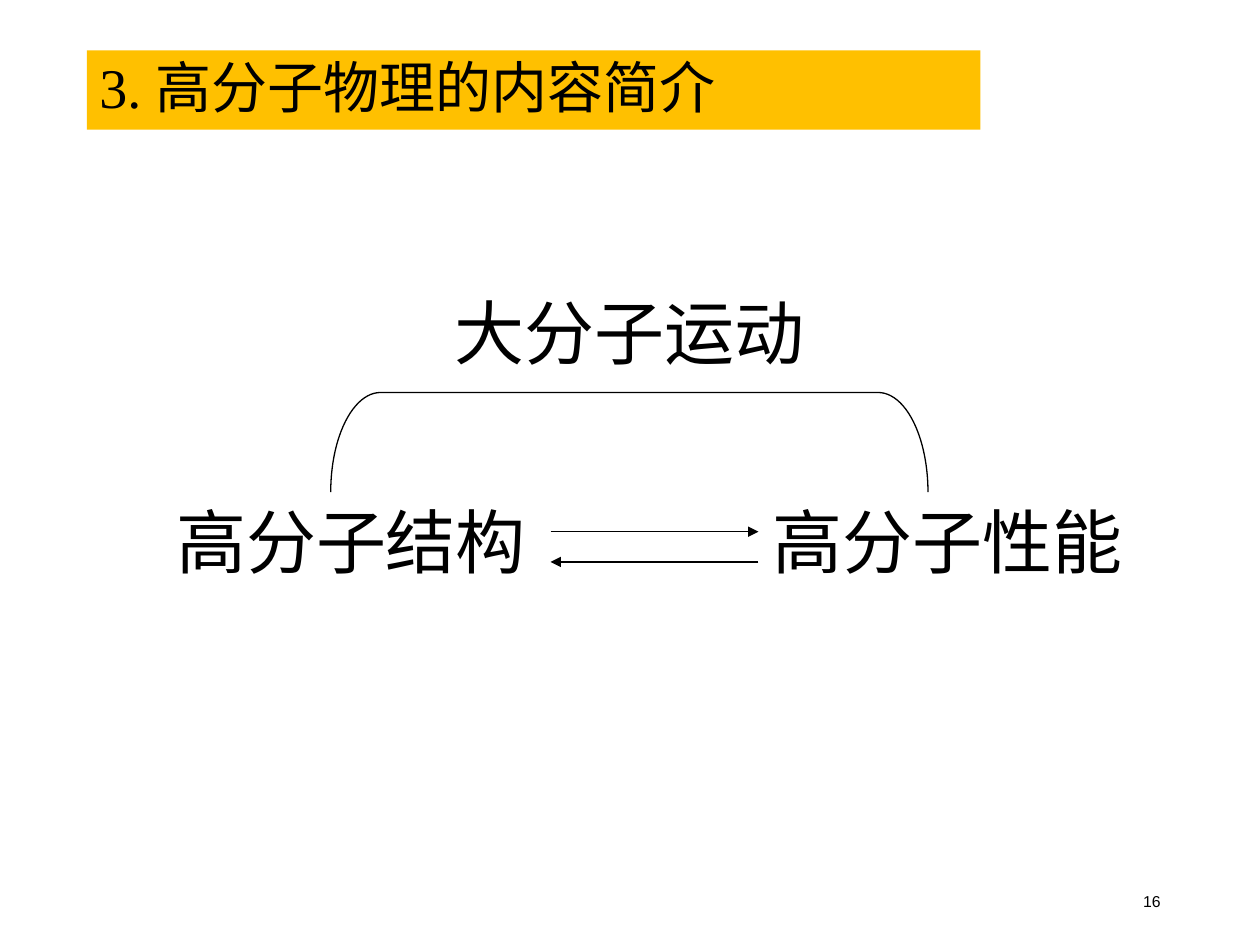
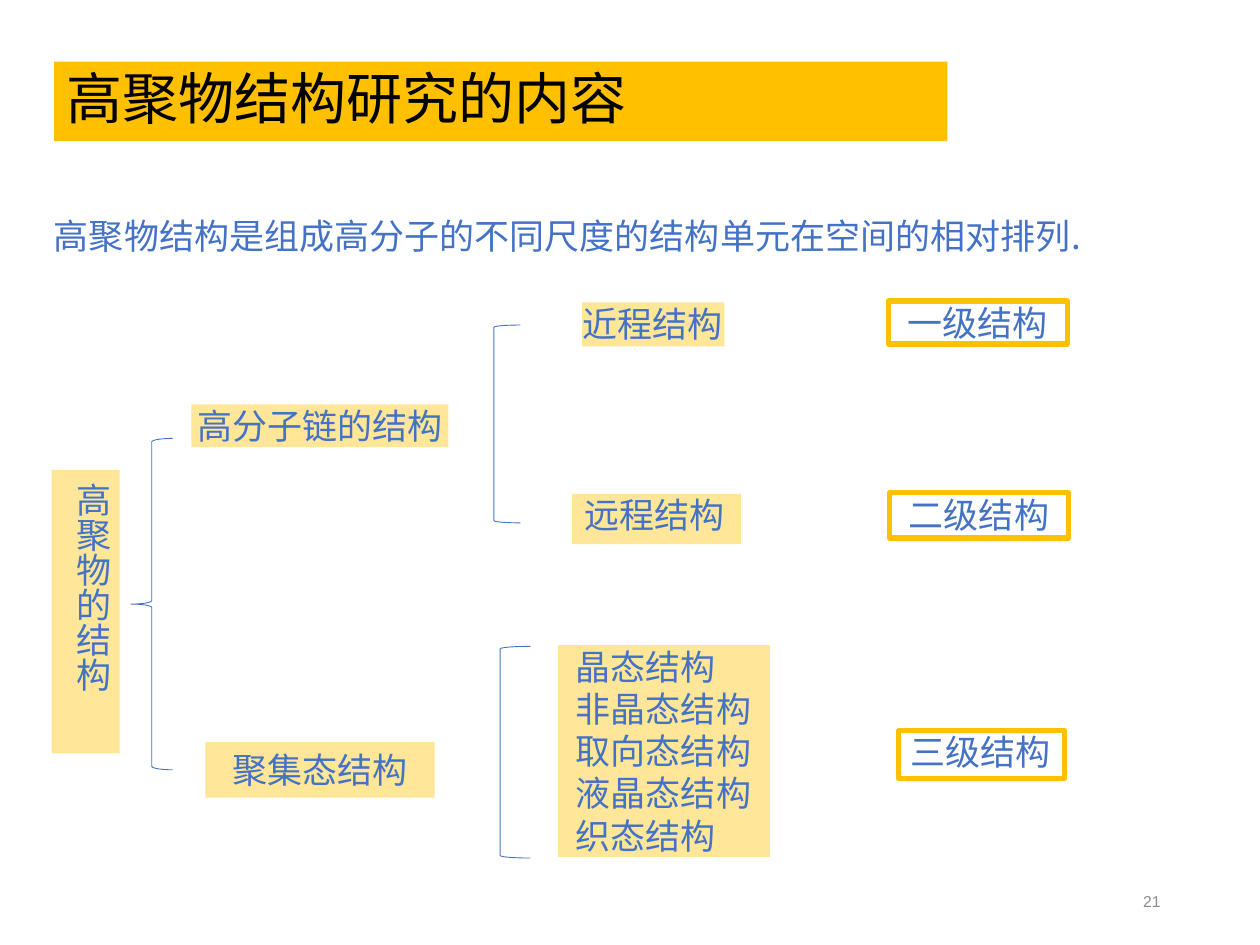
from lxml import etree
from pptx import Presentation
from pptx import util as u
from pptx.dml.color import RGBColor
from pptx.enum import shapes, text
from pptx.oxml import ns

BLACK, GOLD, PALE, BLUE, GRAY = "000000", "FFC000", "FFE699", "4472C4", "8C8C8C"
SERIF, SANS, CHINESE = "Times New Roman", "Arial", "Noto Sans CJK SC"
LEFT, CENTER, RIGHT = text.PP_ALIGN.LEFT, text.PP_ALIGN.CENTER, text.PP_ALIGN.RIGHT
TOP, MIDDLE = text.MSO_ANCHOR.TOP, text.MSO_ANCHOR.MIDDLE


def color(value):
    return RGBColor.from_string(value)


def add_label(slide, box, lines, size, font, ink, align=LEFT, anchor=TOP,
              insets=(0.1, 0.05, 0.1, 0.05), fill=None, border=None, wrap=True, spacing=1.2):
    box = [u.Inches(value) for value in box]
    if fill or border:
        shape = slide.shapes.add_shape(shapes.MSO_SHAPE.RECTANGLE, *box)
        shape.shadow.inherit = False
        shape.fill.background()
        shape.line.fill.background()
    else:
        shape = slide.shapes.add_textbox(*box)
    if fill:
        shape.fill.solid()
        shape.fill.fore_color.rgb = color(fill)
    if border:
        shape.line.color.rgb = color(border)
        shape.line.width = u.Pt(3)
    frame = shape.text_frame
    frame.word_wrap = wrap
    frame.vertical_anchor = anchor
    frame.margin_left, frame.margin_top, frame.margin_right, frame.margin_bottom = map(u.Inches, insets)
    for index, line in enumerate(lines):
        paragraph = frame.add_paragraph() if index else frame.paragraphs[0]
        paragraph.alignment = align
        paragraph.line_spacing = u.Pt(size * spacing) if spacing > 1 else spacing
        run = paragraph.add_run()
        run.text = line
        run.font.size = u.Pt(size)
        run.font.name = font
        run.font.color.rgb = color(ink)
    return shape


presentation = Presentation()
presentation.slide_width = u.Inches(10)
presentation.slide_height = u.Inches(7.5)

slides = []
for title, left, top, font, number, number_color in (
    ("3. 高分子物理的内容简介", 0.69, 0.4, SERIF, "16", BLACK),
    ("高聚物结构研究的内容", 0.43, 0.49, CHINESE, "21", GRAY),
):
    slide = presentation.slides.add_slide(presentation.slide_layouts[6])
    add_label(slide, (left, top, 7.09, 0.63), [title], 32, font, BLACK,
              anchor=MIDDLE, fill=GOLD, spacing=0.9)
    add_label(slide, (7.06, 6.95, 2.25, 0.4), [number], 9, SANS, number_color, RIGHT, MIDDLE)
    slides.append(slide)
overview, structure = slides

for label, left, top, width, align in (
    ("大分子运动", 2.32, 2.25, 5.35, CENTER),
    ("高分子结构", 1.3, 3.91, 3.23, LEFT),
    ("高分子性能", 5.55, 3.91, 3.94, CENTER),
):
    add_label(overview, (left, top, width, 0.77), [label], 40, SANS, BLACK, align)

for start, end, y in ((4.37, 6.02, 4.22), (6.02, 4.37, 4.46)):
    arrow = overview.shapes.add_connector(
        shapes.MSO_CONNECTOR.STRAIGHT, u.Inches(start), u.Inches(y), u.Inches(end), u.Inches(y))
    arrow.line.color.rgb = color(BLACK)
    arrow.line.width = u.Pt(0.75)
    etree.SubElement(arrow.line._get_or_add_ln(), ns.qn("a:tailEnd"), type="triangle")
    etree.SubElement(arrow._element.spPr, ns.qn("a:effectLst"))

add_label(structure, (0.33, 1.7, 8.58, 0.39),
          ["高聚物结构是组成高分子的不同尺度的结构单元在空间的相对排列."],
          20, CHINESE, BLUE, insets=(0.1, 0, 0.1, 0.05))

flush, tight, low = (0, 0, 0, 0), (0.04, 0.01, 0.04, 0.01), (0.1, 0, 0.1, 0.05)
for label, box, insets, align, wrap in (
    ("一级结构", (7.05, 2.39, 1.42, 0.34), flush, CENTER, True),
    ("二级结构", (7.06, 3.91, 1.42, 0.36), tight, CENTER, True),
    ("三级结构", (7.13, 5.8, 1.32, 0.38), low, LEFT, False),
):
    add_label(structure, box, [label], 20, SERIF, BLUE, align, insets=insets, border=GOLD, wrap=wrap)

states = ["晶态结构", "非晶态结构", "取向态结构", "液晶态结构", "织态结构"]
for lines, box, insets, font, align, anchor, wrap in (
    (["高分子链的结构"], (1.52, 3.21, 2.04, 0.34), flush, SERIF, CENTER, MIDDLE, True),
    (["聚集态结构"], (1.63, 5.89, 1.82, 0.44), (0.04, 0.05, 0.04, 0.05), SANS, CENTER, TOP, True),
    (states, (4.43, 5.12, 1.68, 1.68), (0.14, 0, 0, 0), SERIF, LEFT, MIDDLE, True),
    (["近程结构"], (4.62, 2.4, 1.13, 0.35), flush, SERIF, LEFT, TOP, False),
    (["远程结构"], (4.54, 3.92, 1.34, 0.4), low, SERIF, LEFT, TOP, True),
):
    add_label(structure, box, lines, 20, font, BLUE, align, anchor, insets, PALE, wrap=wrap)

root = add_label(structure, (0.41, 3.73, 0.54, 2.25), ["高聚物的结构"], 20, SERIF, BLUE, fill=PALE)
root._element.txBody.bodyPr.set("vert", "eaVert")

for slide, kind, box, ink, width, rotation, curve in (
    (overview, shapes.MSO_SHAPE.RIGHT_BRACKET, (4.6, 1.14, 0.79, 4.74), BLACK, 0.75, 270, 0.5),
    (structure, shapes.MSO_SHAPE.LEFT_BRACE, (1.04, 3.48, 0.33, 2.63), BLUE, 0.5, 0, None),
    (structure, shapes.MSO_SHAPE.LEFT_BRACKET, (3.97, 5.13, 0.24, 1.68), BLUE, 0.5, 0, None),
    (structure, shapes.MSO_SHAPE.LEFT_BRACKET, (3.92, 2.58, 0.21, 1.57), BLUE, 0.5, 0, None),
):
    bracket = slide.shapes.add_shape(kind, *map(u.Inches, box))
    bracket.shadow.inherit = False
    bracket.fill.background()
    bracket.line.color.rgb = color(ink)
    bracket.line.width = u.Pt(width)
    bracket.rotation = rotation
    if curve:
        bracket.adjustments[0] = curve

presentation.save("out.pptx")
